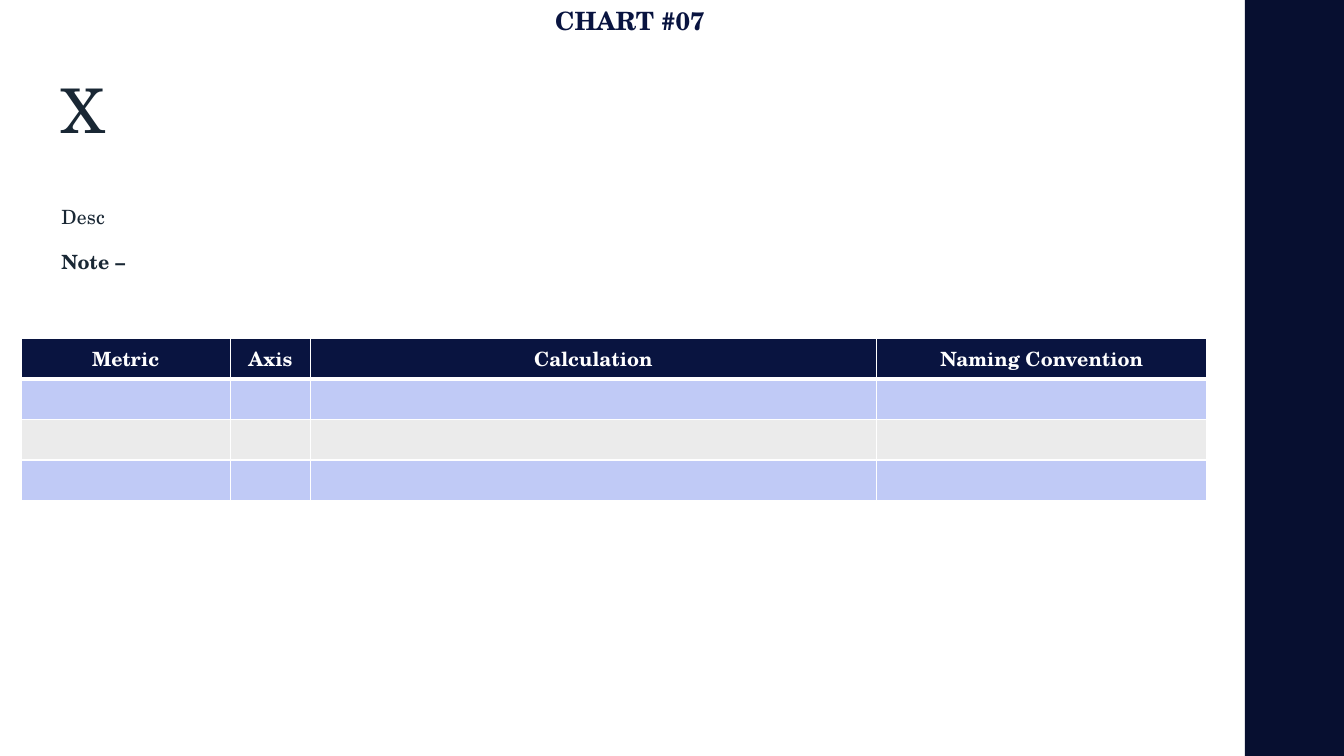
"""Build the chart definition slide with its metric table."""
from dataclasses import dataclass

from lxml.etree import SubElement
from pptx import Presentation
from pptx.dml.color import RGBColor as Rgb
from pptx.enum.shapes import MSO_SHAPE as Shape
from pptx.enum.text import MSO_ANCHOR as Anchor, MSO_AUTO_SIZE as AutoSize, PP_ALIGN as Align
from pptx.oxml.ns import qn
from pptx.util import Cm, Pt


@dataclass(frozen=True)
class Theme:
    font: str = "TeX Gyre Schola"
    ink: str = "192734"
    navy: str = "091440"
    sidebar: str = "070F30"
    white: str = "FFFFFF"
    bands: tuple = ("C0CAF6", "EBEBEB")
    title: int = 44
    label: int = 18
    body: int = 14


theme = Theme()


def style(paragraph, size, color, bold=False, align=Align.LEFT, spacing=0):
    paragraph.alignment = align
    font = paragraph.font
    font.name, font.size, font.bold = theme.font, Pt(size), bold
    font.color.rgb = Rgb.from_string(color)
    if spacing:
        for run in paragraph.runs:
            run._r.get_or_add_rPr().set("spc", str(spacing))


def add_borders(cell, bottom):
    properties = cell._tc.get_or_add_tcPr()
    for index, (side, width) in enumerate(zip("LRTB", (1, 1, 1, bottom))):
        line = SubElement(properties, qn(f"a:ln{side}"), w=str(Pt(width)))
        fill = SubElement(line, qn("a:solidFill"))
        SubElement(fill, qn("a:srgbClr"), val=theme.white)
        properties.insert(index, line)


presentation = Presentation()
presentation.slide_width, presentation.slide_height = Cm(33.87), Cm(19.05)
slide = presentation.slides.add_slide(presentation.slide_layouts[5])

sidebar = slide.shapes.add_shape(Shape.RECTANGLE, Cm(31.37), 0, Cm(2.5), Cm(19.05))
sidebar.shadow.inherit = False
sidebar.fill.solid()
sidebar.fill.fore_color.rgb = Rgb.from_string(theme.sidebar)
sidebar.line.fill.background()

title = slide.shapes.title
title.left, title.top, title.width, title.height = Cm(1.3), Cm(1.02), Cm(29.13), Cm(3.68)
title.text_frame.text = "X"
title.text_frame.vertical_anchor = Anchor.MIDDLE
title.text_frame.auto_size = AutoSize.NONE
title.text_frame.paragraphs[0].line_spacing = 0.9
style(title.text_frame.paragraphs[0], theme.title, theme.ink, spacing=-50)

description = slide.shapes.add_textbox(Cm(1.3), Cm(5.08), Cm(29.13), Cm(2.57)).text_frame
description.word_wrap = True
description.text = "Desc\nNote –"
for index, paragraph in enumerate(description.paragraphs):
    paragraph.line_spacing = 0.95
    paragraph.space_before = Pt(14 * index)
    paragraph.space_after = Pt(2)
    style(paragraph, theme.body, theme.ink, bold=index == 1, spacing=10)

columns = {"Metric": 5.28, "Axis": 2.01, "Calculation": 14.27, "Naming Convention": 8.33}
row_count, row_height = 4, 1.02
table = slide.shapes.add_table(
    row_count, len(columns), Cm(0.53), Cm(8.53), Cm(sum(columns.values())), Cm(row_count * row_height)
).table
for column, width in zip(table.columns, columns.values()):
    column.width = Cm(width)
for row_index, row in enumerate(table.rows):
    row.height = Cm(row_height)
    header = row_index == 0
    for cell, heading in zip(row.cells, columns):
        cell.fill.solid()
        color = theme.navy if header else theme.bands[(row_index - 1) % 2]
        cell.fill.fore_color.rgb = Rgb.from_string(color)
        add_borders(cell, bottom=3 if header else 1)
        if header:
            cell.text = heading
        text_color = theme.white if header else theme.ink
        style(cell.text_frame.paragraphs[0], theme.body, text_color, header, Align.CENTER)

chart_label = slide.shapes.add_textbox(Cm(12.37), 0, Cm(7.01), Cm(1.02)).text_frame
chart_label.word_wrap = True
chart_label.text = "CHART #07"
style(chart_label.paragraphs[0], theme.label, theme.navy, bold=True, align=Align.CENTER)

presentation.save("out.pptx")
